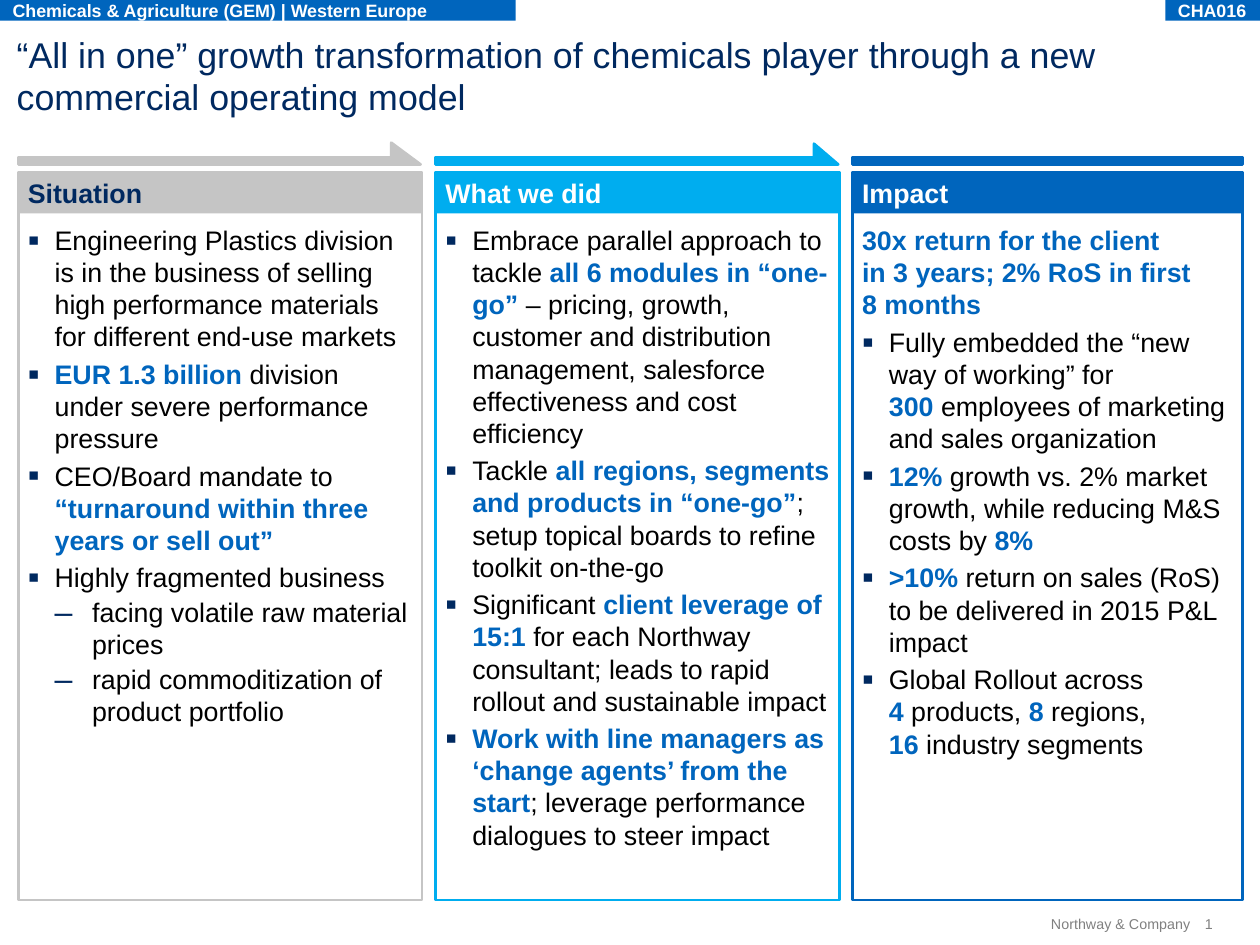
from lxml import etree
from pptx import Presentation
from pptx.dml.color import RGBColor
from pptx.enum.shapes import MSO_SHAPE as SHAPE
from pptx.enum.text import MSO_ANCHOR as ANCHOR, PP_ALIGN as ALIGN
from pptx.oxml.ns import qn
from pptx.util import Cm, Pt

NAVY = RGBColor(0x00, 0x29, 0x60)
BLUE = RGBColor(0x00, 0x65, 0xBD)
CYAN = RGBColor(0x00, 0xAD, 0xEF)
SILVER = RGBColor(0xC5, 0xC5, 0xC5)
GRAY = RGBColor(0x80, 0x80, 0x80)
WHITE = RGBColor(0xFF, 0xFF, 0xFF)
BLACK = RGBColor(0x00, 0x00, 0x00)

# Bullet by first character: glyph, size %, level, indent cm, hang cm, space before pt
BULLETS = {
    "▪": ("▪", 125, 1, 0.53, 0.53, 3),
    "–": ("–", 120, 2, 1.27, 0.74, 1.5),
}

# *...* marks a highlight, ~ a non-breaking space
SITUATION = [
    "▪Engineering Plastics division is in the business of selling high performance "
    "materials for different end-use markets",
    "▪*EUR 1.3 billion *division under severe performance pressure",
    "▪CEO/Board mandate to *“turnaround within three years or sell out”*",
    "▪Highly fragmented business",
    "–facing volatile raw material prices",
    "–rapid commoditization of product portfolio",
]
ACTIONS = [
    "▪Embrace parallel approach to tackle *all 6 modules in “one-go” *– pricing, growth, "
    "customer and distribution management, salesforce effectiveness and cost efficiency",
    "▪Tackle *all regions, segments and products in “one-go”*; setup topical boards "
    "to refine toolkit on-the-go",
    "▪Significant *client leverage of 15:1 *for each Northway consultant; leads to rapid "
    "rollout and sustainable impact",
    "▪*Work with line managers as ‘change agents’ from the start*; leverage performance "
    "dialogues to steer impact",
]
IMPACT = [
    "*30x return for the client in~3~years; 2% RoS in first 8~months*",
    "▪Fully embedded the~“new way of working” for *300~*employees of marketing "
    "and sales organization",
    "▪*12% *growth vs. 2% market growth, while reducing M&S costs by *8%*",
    "▪*>10% *return on sales (RoS) to be delivered in 2015 P&L impact",
    "▪Global Rollout across *4~*products, *8~*regions, *16~*industry segments",
]

# Title, left, width, colour, title colour, arrowhead (width, height), body
COLUMNS = [
    ("Situation", 0.36, 7.98, SILVER, NAVY, (0.58, 0.43), SITUATION),
    ("What we did", 8.61, 7.98, CYAN, WHITE, (0.48, 0.41), ACTIONS),
    ("Impact", 16.84, 7.70, BLUE, WHITE, None, IMPACT),
]


class SlideBuilder:
    font = "Arial"
    highlight = BLUE
    bullet_color = NAVY

    def __init__(self, slide):
        self.s = slide

    def shape(self, kind, x, y, w, h, fill, line=None):
        sp = self.s.shapes.add_shape(kind, Cm(x), Cm(y), Cm(w), Cm(h))
        sp.shadow.inherit = False
        sp.fill.solid()
        sp.fill.fore_color.rgb = fill
        if line is None:
            sp.line.fill.background()
        else:
            sp.line.color.rgb = line
            sp.line.width = Pt(1.5)
        return sp

    def text(self, x, y, w, h, paragraphs, **style):
        box = self.s.shapes.add_textbox(Cm(x), Cm(y), Cm(w), Cm(h))
        self.fill_text(box.text_frame, paragraphs, **style)

    def tag(self, x, w, label):
        sp = self.shape(SHAPE.RECTANGLE, x, 0, w, 0.41, BLUE)
        self.fill_text(sp.text_frame, [label], size=10, color=WHITE, bold=True,
                       anchor=ANCHOR.MIDDLE, inset=0.25)

    def fill_text(self, tf, paragraphs, size, color, bold=False, align=ALIGN.LEFT,
                  anchor=ANCHOR.TOP, inset=0):
        frame = {"word_wrap": True, "vertical_anchor": anchor, "margin_left": Cm(inset),
                 "margin_right": 0, "margin_top": 0, "margin_bottom": 0}
        for name, value in frame.items():
            setattr(tf, name, value)
        for i, content in enumerate(paragraphs):
            p = tf.paragraphs[0] if i == 0 else tf.add_paragraph()
            p.alignment = align
            if content[0] in BULLETS:
                self.bullet(p, *BULLETS[content[0]], first=i == 0)
                content = content[1:]
            for j, part in enumerate(content.split("*")):
                if not part:
                    continue
                r = p.add_run()
                r.text = part.replace("~", chr(160))
                marked = j % 2 == 1
                r.font.color.rgb = self.highlight if marked else color
                font = {"name": self.font, "size": Pt(size), "bold": bold or marked}
                for name, value in font.items():
                    setattr(r.font, name, value)

    def bullet(self, p, glyph, percent, level, indent, hang, space, first):
        p.level = level
        pPr = p._p.get_or_add_pPr()
        pPr.set("marL", str(Cm(indent)))
        pPr.set("indent", str(-Cm(hang)))
        clr = etree.SubElement(pPr, qn("a:buClr"))
        etree.SubElement(clr, qn("a:srgbClr"), val=str(self.bullet_color))
        etree.SubElement(pPr, qn("a:buSzPct"), val=str(percent * 1000))
        etree.SubElement(pPr, qn("a:buFont"), typeface=self.font)
        etree.SubElement(pPr, qn("a:buChar"), char=glyph)
        p.space_before = Pt(0 if first else space)

    def column(self, title, x, w, color, title_color, arrow, body):
        # Bar on top, with an arrowhead towards the next column
        bar_w = w
        if arrow:
            head_w, head_h = arrow
            bar_w = w - head_w - 0.03
            head = self.shape(SHAPE.ISOSCELES_TRIANGLE, x + bar_w, 3.25 - head_h,
                              head_w, head_h, color, color)
            head.adjustments[0] = 0
        self.shape(SHAPE.RECTANGLE, x, 3.1, bar_w, 0.15, color, color)

        # Frame, header and body
        self.shape(SHAPE.RECTANGLE, x, 3.4, w, 14.38, WHITE, color)
        self.shape(SHAPE.RECTANGLE, x, 3.4, w, 0.82, color)
        text_x, text_w = x + 0.19, w - 0.38
        self.text(text_x, 3.48, text_w, 0.64, [title], size=15, color=title_color,
                  bold=True, anchor=ANCHOR.MIDDLE)
        self.text(text_x, 4.42, text_w, 13.2, body, size=15, color=BLACK)


def main():
    prs = Presentation()
    prs.slide_width, prs.slide_height = Cm(24.89), Cm(18.67)
    builder = SlideBuilder(prs.slides.add_slide(prs.slide_layouts[6]))

    # Tags and title
    builder.tag(0, 10.19, "Chemicals & Agriculture (GEM) | Western Europe")
    builder.tag(23.02, 1.87, "CHA016")
    builder.text(0.33, 0.64, 24.03, 1.7,
                 ["“All in one” growth transformation of chemicals player through "
                  "a new commercial operating model"], size=20, color=NAVY)

    # Columns
    for column in COLUMNS:
        builder.column(*column)

    # Footer
    footer = {"size": 8, "color": GRAY, "anchor": ANCHOR.MIDDLE}
    builder.text(19.5, 18.08, 4.02, 0.33, ["Northway & Company"], align=ALIGN.RIGHT, **footer)
    builder.text(23.8, 18.08, 0.36, 0.33, ["1"], **footer)

    prs.save("out.pptx")


if __name__ == "__main__":
    main()
